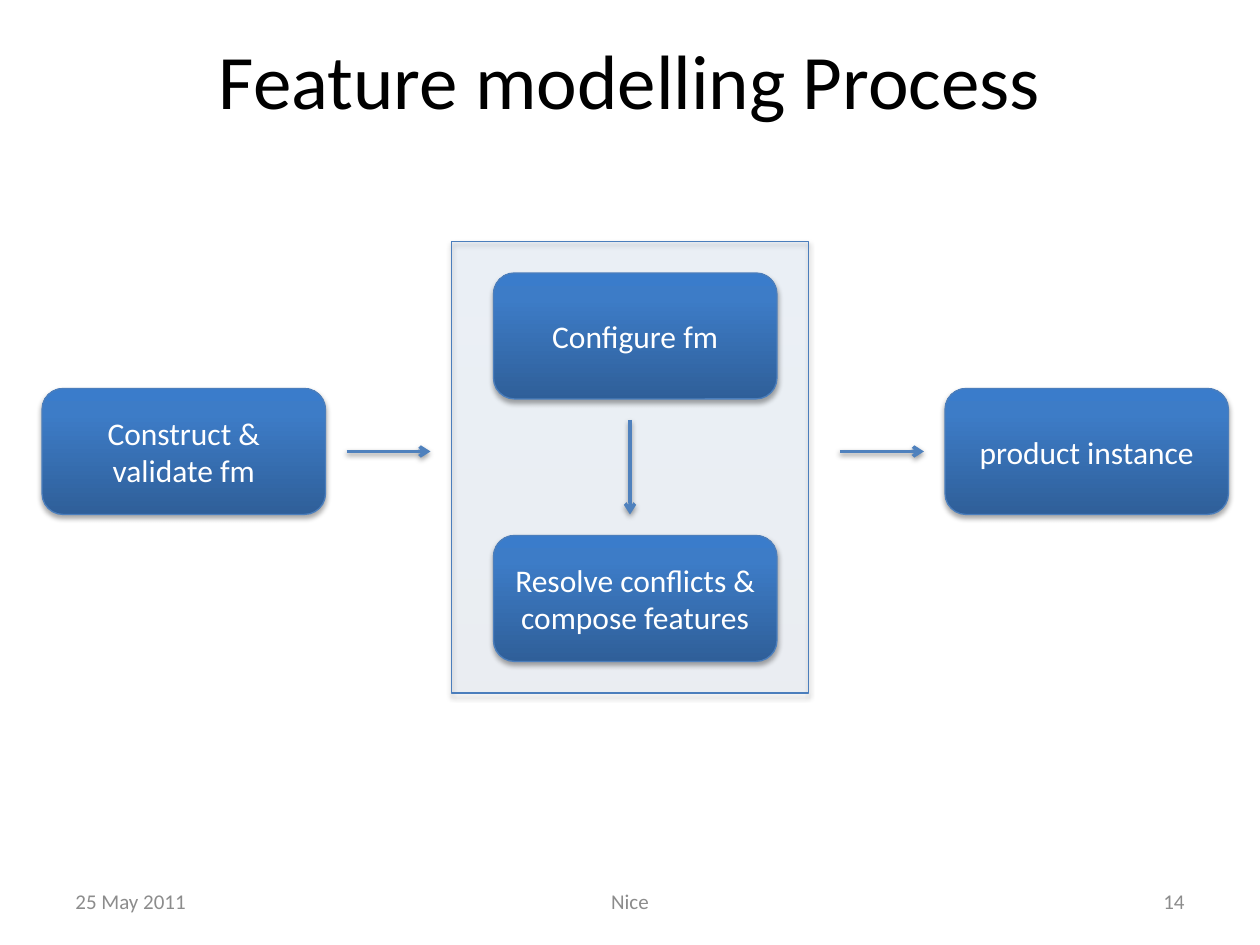
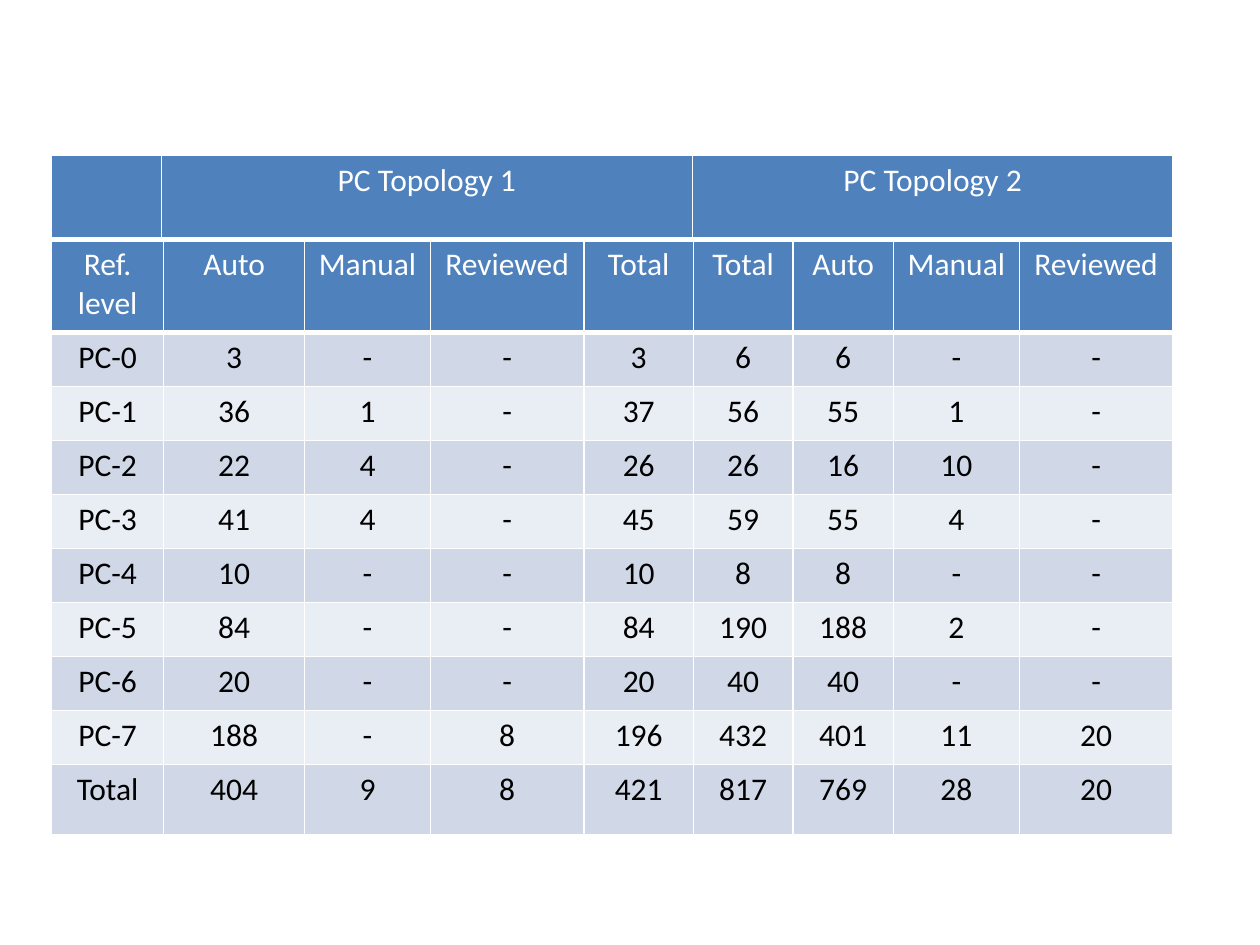
import collections

import pptx
import pptx.dml.color
import pptx.enum.shapes
import pptx.enum.text
import pptx.oxml
import pptx.oxml.ns
import pptx.util

COLUMNS, ROWS = 120, 90
UNIT = pptx.util.Inches(10) / COLUMNS
FONT = "Calibri"
COLORS = {
    "black": "000000", "white": "FFFFFF", "footer": "8C8C8C",
    "outline": "4B7EBC", "accent": "4F81BD",
    "step_bottom": "2F5F99", "step_middle": "3D7CC7", "step_top": "3A7CCB",
    "band_dark": "D0D8E8", "band_light": "E9EDF4",
}
STEP_STOPS = ((0, "step_bottom"), (80, "step_middle"), (100, "step_top"))
ALIGN = pptx.enum.text.PP_ALIGN
MIDDLE = pptx.enum.text.MSO_ANCHOR.MIDDLE
SHAPES = pptx.enum.shapes.MSO_SHAPE
NAMESPACE = pptx.oxml.ns.nsdecls("a")

Box = collections.namedtuple("Box", "left top width height")

TITLE_BOX = Box(6, 0, 108, 15)
FLOW_BOX = Box(4, 23, 113, 43)
TOPOLOGY_BOX = Box(4.92, 14.76, 106.8, 8.04)
LEVELS_BOX = Box(4.92, 22.8, 106.8, 56.76)
FOOTER_BOX = Box(6, 83.4, 108, 4.8)

TOPOLOGIES = [["", "PC Topology 1", "PC Topology 2"]]
TOPOLOGY_WIDTHS = (0.87, 4.21, 3.81)
LEVELS = [
    ["Ref. level", "Auto", "Manual", "Reviewed", "Total",
     "Total", "Auto", "Manual", "Reviewed"],
    ["PC-0", "3", "-", "-", "3", "6", "6", "-", "-"],
    ["PC-1", "36", "1", "-", "37", "56", "55", "1", "-"],
    ["PC-2", "22", "4", "-", "26", "26", "16", "10", "-"],
    ["PC-3", "41", "4", "-", "45", "59", "55", "4", "-"],
    ["PC-4", "10", "-", "-", "10", "8", "8", "-", "-"],
    ["PC-5", "84", "-", "-", "84", "190", "188", "2", "-"],
    ["PC-6", "20", "-", "-", "20", "40", "40", "-", "-"],
    ["PC-7", "188", "-", "8", "196", "432", "401", "11", "20"],
    ["Total", "404", "9", "8", "421", "817", "769", "28", "20"],
]
LEVEL_WIDTHS = (0.89, 1.12, 1, 1.22, 0.87, 0.79, 0.8, 1, 1.22)
LEVEL_HEIGHTS = (0.74, *[0.43] * 8, 0.56)


def rgb(name):
    """Return the named colour."""
    return pptx.dml.color.RGBColor.from_string(COLORS[name])


def grid(*counts):
    """Turn counts of grid units into lengths."""
    return [pptx.util.Emu(round(count * UNIT)) for count in counts]


def inside(box, left, top, width, height):
    """Return a box placed relative to the corner of another."""
    return Box(box.left + left, box.top + top, width, height)


def write(frame, wording, size, color, align=ALIGN.CENTER):
    """Put one formatted run into the first paragraph of a frame."""
    paragraph = frame.paragraphs[0]
    paragraph.alignment = align
    run = paragraph.add_run()
    run.text = wording
    run.font.size = pptx.util.Pt(size)
    run.font.name = FONT
    run.font.bold = False
    run.font.color.rgb = rgb(color)


def cast_shadow(properties, opacity, distance):
    """Add a soft shadow falling straight down."""
    properties.append(pptx.oxml.parse_xml(
        f'<a:effectLst {NAMESPACE}><a:outerShdw blurRad="{pptx.util.Pt(3.1)}" '
        f'dist="{pptx.util.Pt(distance)}" dir="5400000" rotWithShape="0">'
        f'<a:srgbClr val="{COLORS["black"]}"><a:alpha val="{opacity * 1000}"/>'
        '</a:srgbClr></a:outerShdw></a:effectLst>'))


def add_block(slide, outline, box, opacity=100):
    """Draw a shaded block with a thin outline and a shadow."""
    block = slide.shapes.add_shape(outline, *grid(*box))
    block.line.color.rgb = rgb("outline")
    block.line.width = pptx.util.Pt(0.75)
    stops = "".join(
        f'<a:gs pos="{place * 1000}"><a:srgbClr val="{COLORS[color]}">'
        f'<a:alpha val="{opacity * 1000}"/></a:srgbClr></a:gs>'
        for place, color in STEP_STOPS)
    properties = block._element.spPr
    properties.find(pptx.oxml.ns.qn("a:ln")).addprevious(pptx.oxml.parse_xml(
        f'<a:gradFill {NAMESPACE} rotWithShape="1"><a:gsLst>{stops}</a:gsLst>'
        '<a:lin ang="16200000" scaled="0"/></a:gradFill>'))
    cast_shadow(properties, 35, 1.8)
    return block


def add_step(slide, box, wording):
    """Draw one labelled step of the process."""
    step = add_block(slide, SHAPES.ROUNDED_RECTANGLE, box)
    step.text_frame.word_wrap = True
    step.text_frame.vertical_anchor = MIDDLE
    write(step.text_frame, wording, 18, "white")


def add_arrow(slide, box):
    """Draw an arrow from the top left to the bottom right of a box."""
    arrow = slide.shapes.add_connector(
        pptx.enum.shapes.MSO_CONNECTOR.STRAIGHT,
        *grid(box.left, box.top, box.left + box.width, box.top + box.height))
    arrow.line.color.rgb = rgb("accent")
    arrow.line.width = pptx.util.Pt(2)
    properties = arrow._element.spPr
    properties.find(pptx.oxml.ns.qn("a:ln")).append(
        pptx.oxml.parse_xml(f'<a:tailEnd {NAMESPACE} type="arrow"/>'))
    cast_shadow(properties, 38, 1.6)


def add_flow(slide, box):
    """Draw the process: panel, steps and arrows."""
    add_block(slide, SHAPES.RECTANGLE, inside(box, 39, 0, 34, box.height), 7)
    for left, top, wording in (
            (0, 14, "Construct & validate fm"),
            (43, 3, "Configure fm"),
            (43, 28, "Resolve conflicts & compose features"),
            (86, 14, "product instance")):
        add_step(slide, inside(box, left, top, 27, 12), wording)
    for reach in ((29, 20, 8, 0), (56, 17, 0, 9), (76, 20, 8, 0)):
        add_arrow(slide, inside(box, *reach))


def add_title(slide, box, wording):
    """Place and format the title."""
    title = slide.shapes.title
    title.left, title.top, title.width, title.height = grid(*box)
    title.text_frame.vertical_anchor = MIDDLE
    write(title.text_frame, wording, 44, "black")


def add_footer(slide, box, number):
    """Write the date, the place and the slide number."""
    for left, width, wording, align in (
            (0, 28, "25 May 2011", ALIGN.LEFT),
            (35, 38, "Nice", ALIGN.CENTER),
            (80, 28, number, ALIGN.RIGHT)):
        note = slide.shapes.add_textbox(
            *grid(*inside(box, left, 0, width, box.height)))
        note.text_frame.word_wrap = True
        note.text_frame.vertical_anchor = MIDDLE
        write(note.text_frame, wording, 12, "footer", align)


def format_cell(cell, wording, row):
    """Fill, rule and write one cell of a table."""
    for side in "LRTB":
        weight = 3 if row == 0 and side == "B" else 1
        cell._tc.get_or_add_tcPr().append(pptx.oxml.parse_xml(
            f'<a:ln{side} {NAMESPACE} w="{pptx.util.Pt(weight)}"><a:solidFill>'
            f'<a:srgbClr val="{COLORS["white"]}"/></a:solidFill></a:ln{side}>'))
    band = "band_dark" if row % 2 else "band_light"
    cell.fill.solid()
    cell.fill.fore_color.rgb = rgb(band if row else "accent")
    if wording:
        write(cell.text_frame, wording, 18, "black" if row else "white")


def add_grid_table(slide, box, records, widths, heights):
    """Draw a table whose columns and rows share out its box."""
    table = slide.shapes.add_table(
        len(records), len(widths), *grid(*box)).table
    for column, width in zip(table.columns, widths):
        column.width, = grid(box.width * width / sum(widths))
    for row, height in zip(table.rows, heights):
        row.height, = grid(box.height * height / sum(heights))
    for row, record in enumerate(records):
        for column, wording in enumerate(record):
            format_cell(table.cell(row, column), wording, row)


def add_process_slide(deck):
    """Build the slide with the modelling process."""
    slide = deck.slides.add_slide(deck.slide_layouts[5])
    add_title(slide, TITLE_BOX, "Feature modelling Process")
    add_flow(slide, FLOW_BOX)
    add_footer(slide, FOOTER_BOX, "14")


def add_results_slide(deck):
    """Build the slide with the counts for each refinement level."""
    slide = deck.slides.add_slide(deck.slide_layouts[6])
    add_grid_table(slide, LEVELS_BOX, LEVELS, LEVEL_WIDTHS, LEVEL_HEIGHTS)
    add_grid_table(slide, TOPOLOGY_BOX, TOPOLOGIES, TOPOLOGY_WIDTHS, (1,))


def main():
    """Build and save the deck."""
    deck = pptx.Presentation()
    deck.slide_width, deck.slide_height = grid(COLUMNS, ROWS)
    add_process_slide(deck)
    add_results_slide(deck)
    deck.save("out.pptx")


if __name__ == "__main__":
    main()
